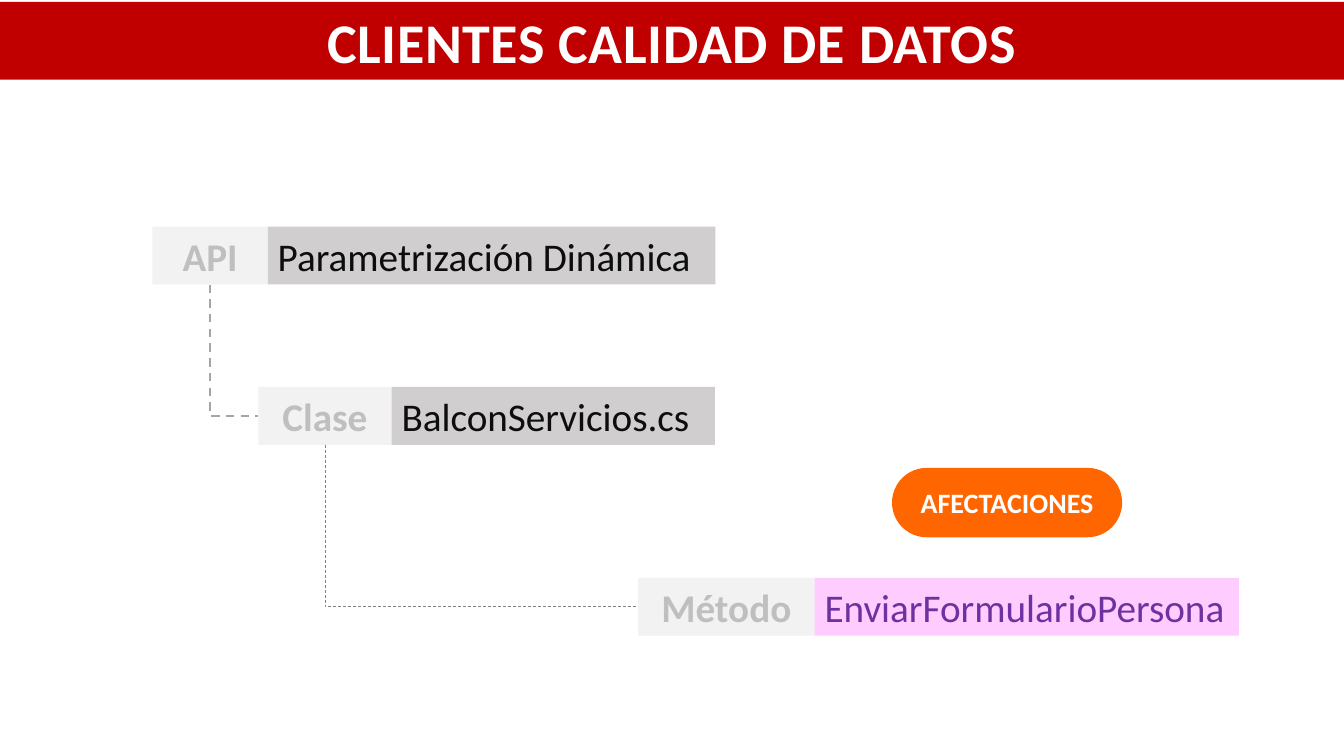
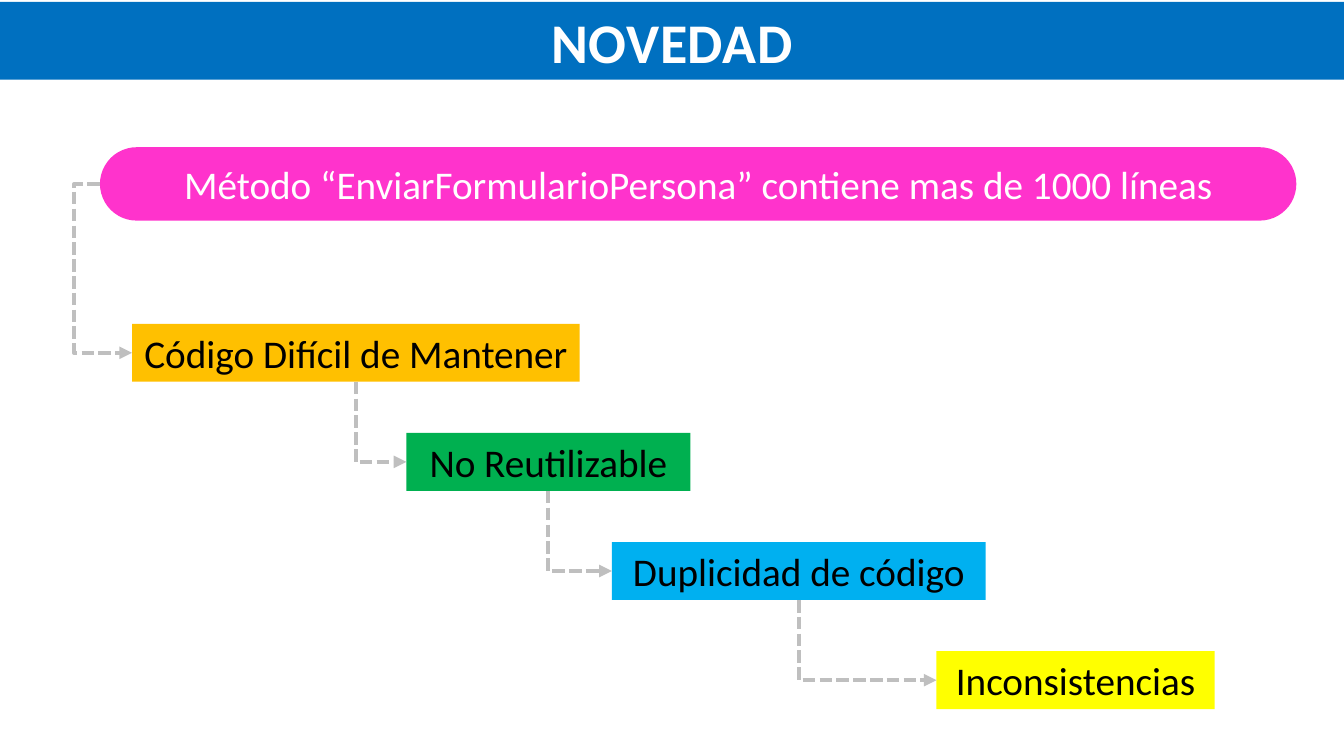
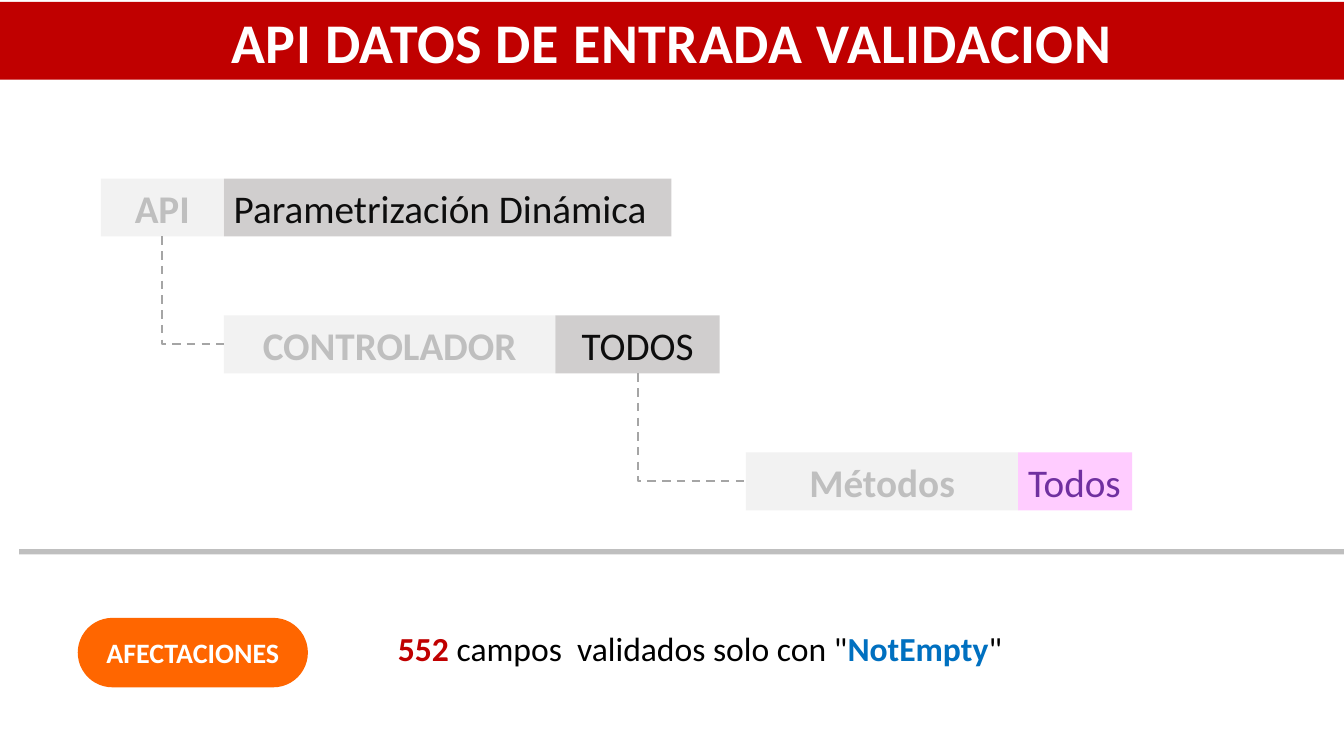
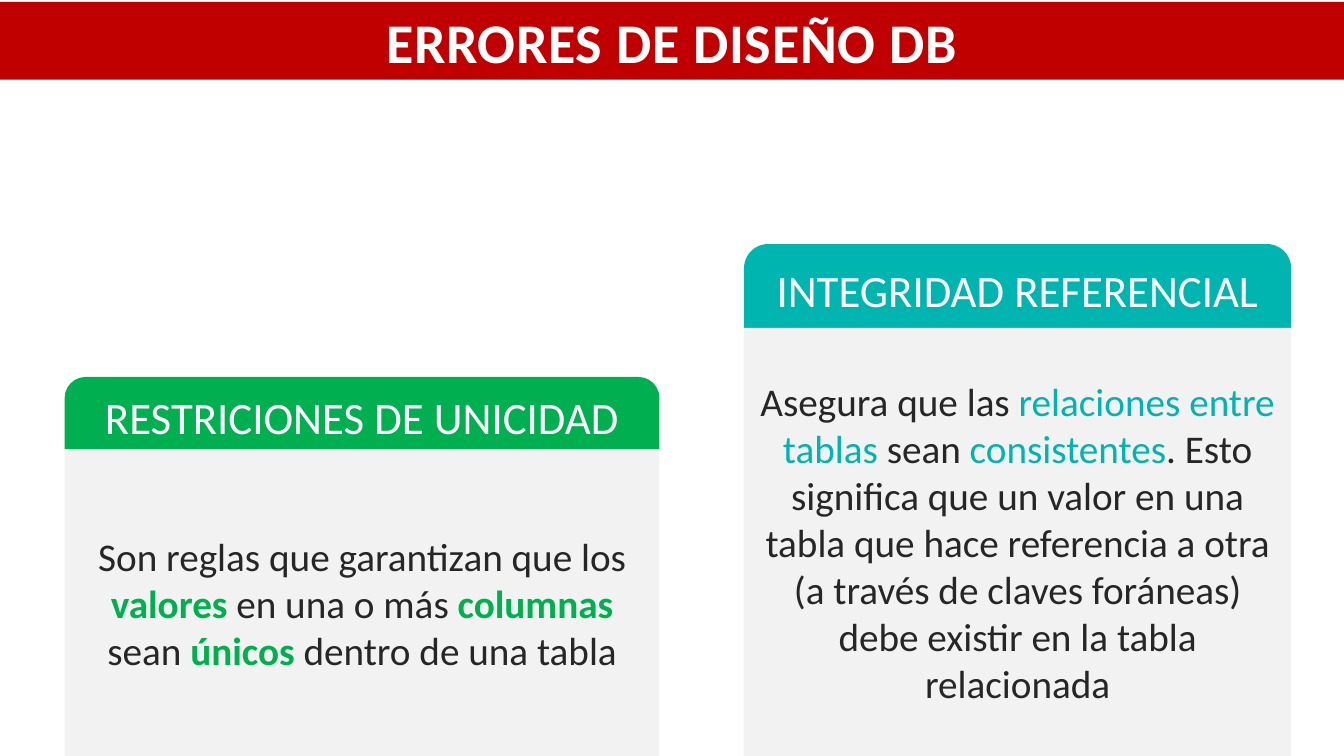
"""Build a four-slide deck on data quality, a code finding, input validation and database design."""
from lxml.etree import SubElement
from pptx import Presentation
from pptx.dml.color import RGBColor
from pptx.enum.dml import MSO_LINE
from pptx.enum.shapes import MSO_CONNECTOR, MSO_SHAPE
from pptx.enum.text import MSO_ANCHOR, MSO_AUTO_SIZE, PP_ALIGN
from pptx.oxml.ns import qn
from pptx.util import Cm, Pt

FONT = "Calibri"
WHITE = RGBColor(0xFF, 0xFF, 0xFF)
BLACK = RGBColor(0x00, 0x00, 0x00)
INK = RGBColor(0x0D, 0x0D, 0x0D)
BODY_INK = RGBColor(0x26, 0x26, 0x26)
RED = RGBColor(0xC0, 0x00, 0x00)
BLUE = RGBColor(0x00, 0x70, 0xC0)
SKY = RGBColor(0x00, 0xB0, 0xF0)
GREEN = RGBColor(0x00, 0xB0, 0x50)
TEAL = RGBColor(0x00, 0xB4, 0xB0)
AMBER = RGBColor(0xFF, 0xC0, 0x00)
YELLOW = RGBColor(0xFF, 0xFF, 0x00)
ORANGE = RGBColor(0xFF, 0x66, 0x00)
PINK = RGBColor(0xFF, 0x33, 0xCC)
LILAC = RGBColor(0xFF, 0xCC, 0xFF)
PURPLE = RGBColor(0x70, 0x30, 0xA0)
PALE = RGBColor(0xF2, 0xF2, 0xF2)
SILVER = RGBColor(0xD0, 0xCE, 0xCE)
GREY = RGBColor(0xBF, 0xBF, 0xBF)
MID_GREY = RGBColor(0xA5, 0xA5, 0xA5)
DARK_GREY = RGBColor(0x80, 0x80, 0x80)

SLIDE_WIDTH, SLIDE_HEIGHT = Cm(33.87), Cm(19.05)
BOX_HEIGHT = Cm(1.46)
LEFT, CENTER = PP_ALIGN.LEFT, PP_ALIGN.CENTER
THIN_DASH = (MID_GREY, 1.5, MSO_LINE.DASH)
HAIR_DASH = (DARK_GREY, 0.5, MSO_LINE.DASH)
THICK_DASH = (GREY, 3, MSO_LINE.SQUARE_DOT)

CLIENT_ROWS = [
    ("API", "Parametrización Dinámica", 3.84, 5.71, 2.91, 11.28, LEFT),
    ("Clase", "BalconServicios.cs", 6.51, 9.75, 3.36, 8.15, LEFT),
    ("Método", "EnviarFormularioPersona", 16.08, 14.56, 4.45, 10.69, LEFT),
]
VALIDATION_ROWS = [
    ("API", "Parametrización Dinámica", 2.54, 4.5, 3.1, 11.28, LEFT),
    ("CONTROLADOR", "TODOS", 5.64, 7.95, 8.36, 4.14, CENTER),
    ("Métodos", "Todos", 18.8, 11.4, 6.86, 2.87, LEFT),
]
VALIDATION_SPANS = [
    ("552 ", RED, True),
    ("campos  validados solo con \"", BLACK, False),
    ("NotEmpty", BLUE, True),
    ("\"", BLACK, False),
]
FINDING = "Método “EnviarFormularioPersona” contiene mas de 1000 líneas"
CONSEQUENCES = [
    ("Código Difícil de Mantener", 3.33, 11.28, AMBER),
    ("No Reutilizable", 10.24, 7.16, GREEN),
    ("Duplicidad de código", 15.42, 9.42, SKY),
    ("Inconsistencias", 23.6, 7.01, YELLOW),
]
CARDS = [
    ("RESTRICIONES DE UNICIDAD", GREEN, 1.63, 9.5, 14.99, 1.82, [
        ("Son reglas que garantizan que los ", BODY_INK, False),
        ("valores", GREEN, True),
        (" en una o más ", BODY_INK, False),
        ("columnas", GREEN, True),
        (" sean ", BODY_INK, False),
        ("únicos", GREEN, True),
        (" dentro de una tabla", BODY_INK, False),
    ]),
    ("INTEGRIDAD REFERENCIAL", TEAL, 18.75, 6.15, 13.79, 2.11, [
        ("Asegura que las ", BODY_INK, False),
        ("relaciones entre tablas ", TEAL, False),
        ("sean ", BODY_INK, False),
        ("consistentes", TEAL, False),
        (". Esto significa que un valor en una tabla que hace referencia a otra "
         "(a través de claves foráneas) debe existir en la tabla relacionada", BODY_INK, False),
    ]),
]


def write(shape, spans, size, align=CENTER, wrap=True):
    """Fill a shape with one paragraph of (text, colour, bold) spans."""
    frame = shape.text_frame
    frame.word_wrap = wrap
    frame.auto_size = MSO_AUTO_SIZE.NONE
    frame.vertical_anchor = MSO_ANCHOR.MIDDLE
    para = frame.paragraphs[0]
    para.alignment = align
    para.font.name, para.font.size = FONT, Pt(size)
    for text, color, bold in spans:
        span = para.add_run()
        span.text = text
        span.font.color.rgb, span.font.bold = color, bold


def add_box(page, left, top, width, height, fill, kind=MSO_SHAPE.RECTANGLE, corner=None):
    """Add a flat filled shape without outline."""
    box = page.shapes.add_shape(kind, left, top, width, height)
    box.shadow.inherit = False
    box.fill.solid()
    box.fill.fore_color.rgb = fill
    box.line.fill.background()
    if corner is not None:
        box.adjustments[0] = corner
    return box


def add_pill(page, left, top, width, height, fill, text, size, bold):
    """Add a fully rounded box with white text."""
    pill = add_box(page, left, top, width, height, fill, MSO_SHAPE.ROUNDED_RECTANGLE, 0.5)
    write(pill, [(text, WHITE, bold)], size)
    return pill


def add_impact(page, left, top):
    """Add the orange impact tag."""
    add_pill(page, left, top, Cm(5.8), Cm(1.75), ORANGE, "AFECTACIONES", 20, True)


def add_page(deck, title, fill=RED):
    """Add a slide whose title is a full-width coloured band."""
    page = deck.slides.add_slide(deck.slide_layouts[5])
    band = page.shapes.title
    band.left, band.top, band.width, band.height = 0, Cm(0.05), SLIDE_WIDTH, Cm(1.96)
    band.fill.solid()
    band.fill.fore_color.rgb = fill
    write(band, [(title, WHITE, True)], 40)
    properties = band.text_frame.paragraphs[0].runs[0].font._element
    properties.set("spc", "50")
    effects = SubElement(properties, qn("a:effectLst"))
    properties.find(qn("a:solidFill")).addnext(effects)
    shadow = SubElement(effects, qn("a:outerShdw"), blurRad="38100", dist="38100", dir="2700000")
    color = SubElement(shadow, qn("a:srgbClr"), val="808080")
    SubElement(color, qn("a:alpha"), val="60000")
    return page


def add_elbow(page, start, end, style, arrow=False):
    """Add a dashed elbow connector between two points."""
    elbow = page.shapes.add_connector(MSO_CONNECTOR.ELBOW, *start, *end)
    color, weight, dash = style
    elbow.line.color.rgb = color
    elbow.line.width = Pt(weight)
    elbow.line.dash_style = dash
    if arrow:
        SubElement(elbow.line._get_or_add_ln(), qn("a:tailEnd"), type="triangle")
    SubElement(elbow._element.spPr, qn("a:effectLst"))
    return elbow


def add_step(page, source, target, style, arrow=False):
    """Go down from the middle of one box, then right to the side of the next."""
    x, y = source.left + source.width // 2, source.top + source.height
    across, down = target.left - x, target.top + target.height // 2 - y
    left, top = x + (across - down) // 2, y + (down - across) // 2
    elbow = add_elbow(page, (left + down, top), (left, top + across), style, arrow)
    properties = elbow._element.spPr
    properties.find(qn("a:xfrm")).set("rot", "16200000")
    properties.find(qn("a:prstGeom")).set("prst", "bentConnector2")


def add_rows(page, rows):
    """Add label and value pairs, the last one highlighted, and return them."""
    pairs = []
    for row in rows:
        label, value, left, top, label_width, value_width, align = row
        last = row is rows[-1]
        fill, color = (LILAC, PURPLE) if last else (SILVER, INK)
        label_box = add_box(page, Cm(left), Cm(top), Cm(label_width), BOX_HEIGHT, PALE)
        write(label_box, [(label, GREY, True)], 28)
        value_box = add_box(page, Cm(left + label_width), Cm(top), Cm(value_width), BOX_HEIGHT, fill)
        write(value_box, [(value, color, False)], 28, align, wrap=not last)
        pairs.append((label_box, value_box))
    return pairs


def build_clients(deck):
    """Build the client data quality slide."""
    page = add_page(deck, "CLIENTES CALIDAD DE DATOS")
    api, file_class, method = add_rows(page, CLIENT_ROWS)
    add_step(page, api[0], file_class[0], THIN_DASH)
    add_step(page, file_class[0], method[0], HAIR_DASH)
    add_impact(page, Cm(22.48), Cm(11.79))


def build_finding(deck):
    """Build the finding slide with its staircase of consequences."""
    page = add_page(deck, "NOVEDAD", BLUE)
    pill = add_pill(page, Cm(2.52), Cm(3.71), Cm(30.15), Cm(1.85), PINK, FINDING, 28, False)
    previous = None
    for index, (text, left, width, fill) in enumerate(CONSEQUENCES):
        box = add_box(page, Cm(left), Cm(8.16 + 2.75 * index), Cm(width), BOX_HEIGHT, fill)
        write(box, [(text, BLACK, False)], 28)
        if previous:
            add_step(page, previous, box, THICK_DASH, arrow=True)
        else:
            start = pill.left, pill.top + pill.height // 2
            end = box.left, box.top + box.height // 2
            elbow = add_elbow(page, start, end, THICK_DASH, arrow=True)
            guides = elbow._element.spPr.find(qn("a:prstGeom")).get_or_add_avLst()
            SubElement(guides, qn("a:gd"), name="adj1", fmla="val -80000")
        previous = box


def build_validation(deck):
    """Build the input validation slide."""
    page = add_page(deck, "API DATOS DE ENTRADA VALIDACION")
    api, controller, methods = add_rows(page, VALIDATION_ROWS)
    add_step(page, api[0], controller[0], THIN_DASH)
    add_step(page, controller[1], methods[0], THIN_DASH)
    rule_left = Cm(0.48)
    add_box(page, rule_left, Cm(13.84), SLIDE_WIDTH - rule_left, Cm(0.13), GREY)
    add_impact(page, Cm(1.96), Cm(15.57))
    note = page.shapes.add_textbox(Cm(9.78), Cm(15.7), Cm(17), Cm(1.27))
    write(note, VALIDATION_SPANS, 24, LEFT)


def build_design(deck):
    """Build the database design slide with two cards."""
    page = add_page(deck, "ERRORES DE DISEÑO DB")
    for heading, fill, left, top, width, height, spans in CARDS:
        header = add_box(page, Cm(left), Cm(top), Cm(width), Cm(height), fill,
                         MSO_SHAPE.ROUND_2_SAME_RECTANGLE, 0.29)
        write(header, [(heading, WHITE, False)], 32)
        bottom = header.top + header.height
        body = add_box(page, header.left, bottom, header.width, SLIDE_HEIGHT - bottom, PALE)
        write(body, spans, 28)


def main():
    """Build and save the deck."""
    deck = Presentation()
    deck.slide_width, deck.slide_height = SLIDE_WIDTH, SLIDE_HEIGHT
    for build in (build_clients, build_finding, build_validation, build_design):
        build(deck)
    deck.save("out.pptx")


if __name__ == "__main__":
    main()
